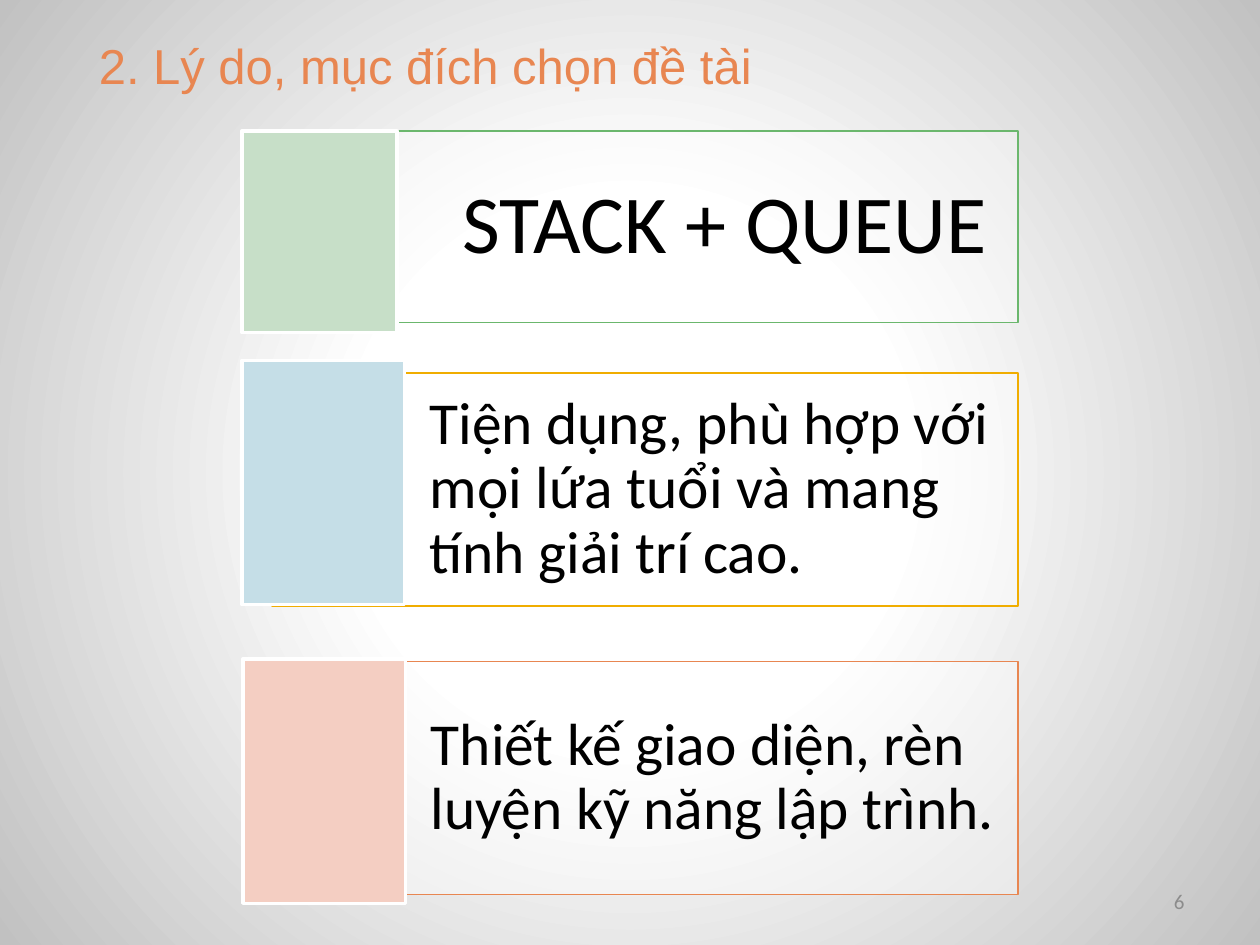
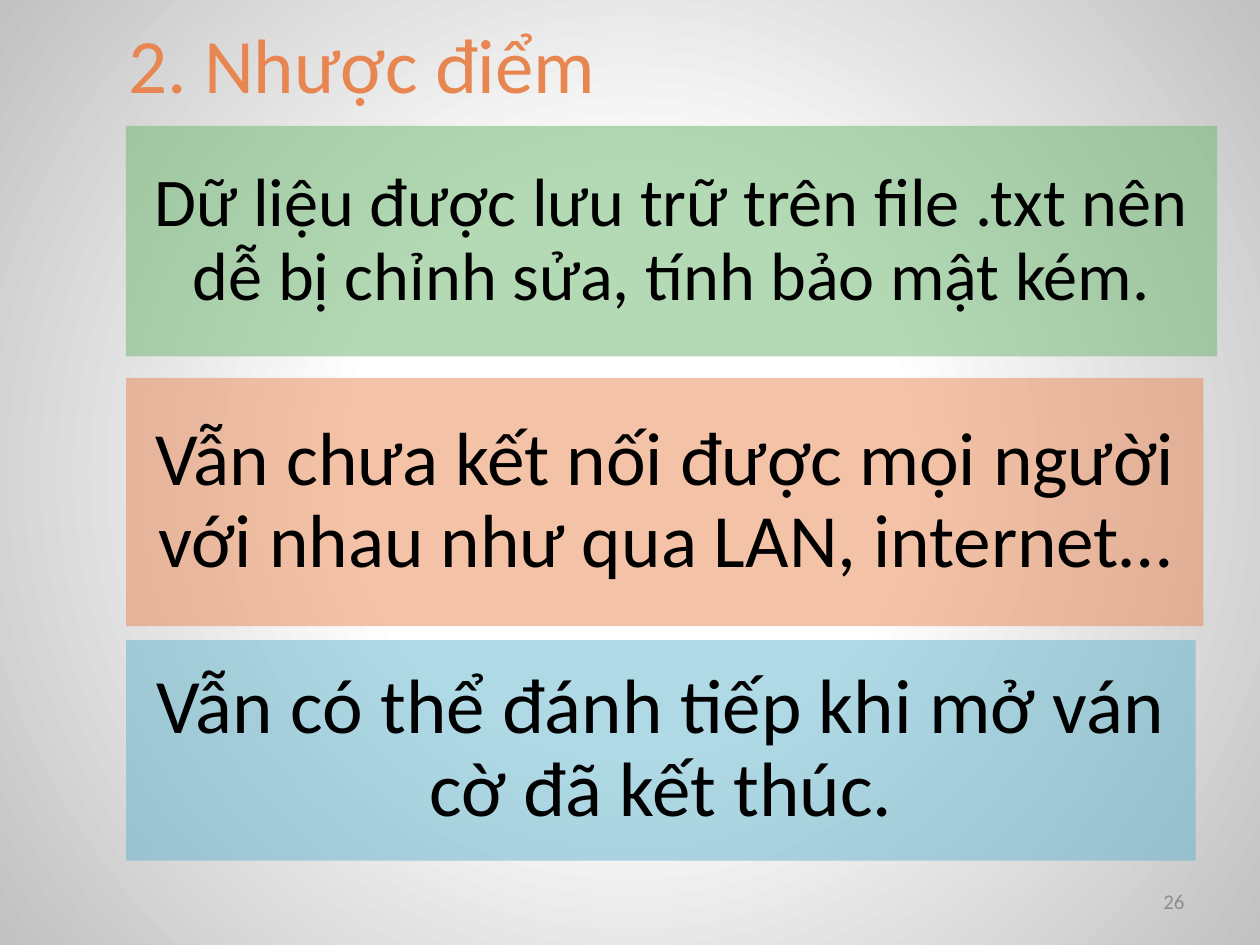
"""Builds two slides of a project report: reasons for the topic and weaknesses."""
from dataclasses import dataclass
from typing import Optional

from lxml.etree import SubElement
from pptx import Presentation
from pptx.dml.color import RGBColor
from pptx.enum.shapes import MSO_SHAPE
from pptx.enum.text import MSO_ANCHOR as Anchor, MSO_AUTO_SIZE as AutoSize, PP_ALIGN as Align
from pptx.oxml.ns import qn
from pptx.presentation import Presentation as Deck
from pptx.shapes.autoshape import Shape
from pptx.slide import Slide
from pptx.text.text import TextFrame
from pptx.util import Inches, Pt

SLIDE_WIDTH, SLIDE_HEIGHT = Inches(10), Inches(7.5)
COLUMN, ROW = SLIDE_WIDTH / 100, SLIDE_HEIGHT / 75


@dataclass(frozen=True)
class Theme:
    """Colours, fonts and type sizes of the deck."""
    title: str = "E88651"
    ink: str = "000000"
    muted: str = "8C8C8C"
    paper: str = "FFFFFF"
    edge: str = "C1C1C1"
    green: str = "6BB76D"
    amber: str = "F0AD00"
    orange: str = "E88651"
    blue: str = "60B5CC"
    pale_green: str = "C7DFC8"
    pale_blue: str = "C5DEE7"
    pale_red: str = "F4CEC2"
    body_font: str = "Calibri"
    heading_font: str = "Arial"
    number_size: int = 12
    glow_start: float = 0.35
    panel_line: float = 0.75
    tab_line: float = 2


THEME = Theme()


@dataclass(frozen=True)
class Area:
    """Place on the grid of 100 columns and 75 rows."""
    left: float
    top: float
    width: float
    height: float

    def lengths(self) -> tuple[int, int, int, int]:
        """Return left, top, width and height in slide units."""
        return (round(self.left * COLUMN), round(self.top * ROW),
                round(self.width * COLUMN), round(self.height * ROW))


@dataclass(frozen=True)
class TextStyle:
    """Look of the text in one frame."""
    size: float
    color: str = THEME.ink
    font: str = THEME.body_font
    align: Align = Align.LEFT
    anchor: Anchor = Anchor.MIDDLE
    spacing: float = 1.0


@dataclass(frozen=True)
class Panel:
    """Translucent rectangle holding one statement."""
    area: Area
    text: str
    size: float
    fill: str
    opacity: int
    padding: float
    indent: Optional[float] = None
    line: Optional[str] = None
    align: Align = Align.CENTER


@dataclass(frozen=True)
class Tab:
    """Pale block covering the left end of a panel."""
    area: Area
    fill: str


@dataclass(frozen=True)
class Page:
    """Content of one slide."""
    title: str
    title_area: Area
    title_style: TextStyle
    number: int
    items: list[Panel | Tab]


def reason(area: Area, text: str, size: float, line: str, padding: float, indent: float) -> Panel:
    """Describe an outlined panel for one reason."""
    return Panel(area, text, size, THEME.paper, 40, padding, indent, line, Align.LEFT)


def weakness(top: float, width: float, height: float, text: str, size: float,
             fill: str, padding: float) -> Panel:
    """Describe a coloured panel for one weakness."""
    return Panel(Area(10, top, width, height), text, size, fill, 50, padding)


NUMBER_AREA = Area(71.7, 69.5, 23.3, 4)
NUMBER_STYLE = TextStyle(THEME.number_size, THEME.muted, align=Align.RIGHT)

PAGES = [
    Page("2. Lý do, mục đích chọn đề tài", Area(-2.5, 2.3, 72.5, 5.7),
         TextStyle(28, THEME.title, THEME.heading_font, Align.CENTER), 6, [
             reason(Area(25, 10.4, 55.8, 15.2), "STACK + QUEUE", 47, THEME.green, 2, 11.7),
             Tab(Area(19.2, 10.4, 12.3, 16), THEME.pale_green),
             reason(Area(21.6, 29.6, 59.2, 18.5),
                    "Tiện dụng, phù hợp với mọi lứa tuổi và mang tính giải trí cao.",
                    34, THEME.amber, 1.4, 12.5),
             Tab(Area(19.2, 28.6, 12.9, 19.4), THEME.pale_blue),
             reason(Area(21.7, 52.5, 59.1, 18.5),
                    "Thiết kế giao diện, rèn luyện kỹ năng lập trình.",
                    34, THEME.orange, 1.4, 12.5),
             Tab(Area(19.3, 52.3, 12.9, 19.4), THEME.pale_red),
         ]),
    Page("2. Nhược điểm", Area(9.2, 0.8, 51.7, 8.4),
         TextStyle(44, THEME.title, anchor=Anchor.TOP), 26, [
             weakness(10, 86.6, 18.3,
                      "Dữ liệu được lưu trữ trên file .txt nên dễ bị chỉnh sửa, tính bảo mật kém.",
                      39, THEME.green, 1.6),
             weakness(30, 85.5, 19.7,
                      "Vẫn chưa kết nối được mọi người với nhau như qua LAN, internet…",
                      43, THEME.orange, 1.8),
             weakness(50.8, 84.9, 17.5, "Vẫn có thể đánh tiếp khi mở ván cờ đã kết thúc.",
                      44, THEME.blue, 1.8),
         ]),
]


def rgb(color: str) -> RGBColor:
    """Turn a hex string into a colour."""
    return RGBColor.from_string(color)


def write(frame: TextFrame, text: str, style: TextStyle) -> None:
    """Put one styled paragraph into a frame."""
    frame.text = text
    frame.word_wrap = True
    frame.auto_size = AutoSize.NONE
    frame.vertical_anchor = style.anchor
    para = frame.paragraphs[0]
    para.alignment = style.align
    para.line_spacing = style.spacing
    para.font.size = Pt(style.size)
    para.font.name = style.font
    para.font.color.rgb = rgb(style.color)


def add_box(page: Slide, area: Area, fill: str, line: Optional[str], weight: float) -> Shape:
    """Add a flat rectangle."""
    box = page.shapes.add_shape(MSO_SHAPE.RECTANGLE, *area.lengths())
    box.shadow.inherit = False
    box.fill.solid()
    box.fill.fore_color.rgb = rgb(fill)
    if line:
        box.line.color.rgb = rgb(line)
        box.line.width = Pt(weight)
    else:
        box.line.fill.background()
    return box


def add_panel(page: Slide, panel: Panel) -> None:
    """Draw a translucent panel with its statement."""
    box = add_box(page, panel.area, panel.fill, panel.line, THEME.panel_line)
    color = box.element.spPr.find(qn("a:solidFill"))[0]
    SubElement(color, qn("a:alpha"), val=str(panel.opacity * 1000))
    frame = box.text_frame
    write(frame, panel.text, TextStyle(panel.size, align=panel.align, spacing=0.9))
    frame.margin_top = frame.margin_bottom = round(panel.padding * ROW)
    frame.margin_right = round(panel.padding * COLUMN)
    frame.margin_left = round((panel.indent or panel.padding) * COLUMN)


def set_background(deck: Deck) -> None:
    """Give every slide the same white glow on grey."""
    master = deck.slide_master
    fill = master.background.fill
    fill.gradient()
    centre, rim = fill.gradient_stops
    centre.position, centre.color.rgb = THEME.glow_start, rgb(THEME.paper)
    rim.position, rim.color.rgb = 1.0, rgb(THEME.edge)
    gradient = master.element.find(".//" + qn("p:bgPr")).find(qn("a:gradFill"))
    gradient.remove(gradient.find(qn("a:lin")))
    circle = SubElement(gradient, qn("a:path"), path="circle")
    SubElement(circle, qn("a:fillToRect"), dict.fromkeys("ltrb", "50000"))


def add_page(deck: Deck, content: Page) -> None:
    """Add a slide with its title, items and number."""
    page = deck.slides.add_slide(deck.slide_layouts.get_by_name("Title Only"))
    title = page.shapes.title
    title.left, title.top, title.width, title.height = content.title_area.lengths()
    write(title.text_frame, content.title, content.title_style)
    for item in content.items:
        if isinstance(item, Panel):
            add_panel(page, item)
        else:
            add_box(page, item.area, item.fill, THEME.paper, THEME.tab_line)
    number = page.shapes.add_textbox(*NUMBER_AREA.lengths())
    write(number.text_frame, str(content.number), NUMBER_STYLE)


def main() -> None:
    """Build and save the deck."""
    deck = Presentation()
    deck.slide_width, deck.slide_height = SLIDE_WIDTH, SLIDE_HEIGHT
    set_background(deck)
    for content in PAGES:
        add_page(deck, content)
    deck.save("out.pptx")


if __name__ == "__main__":
    main()
